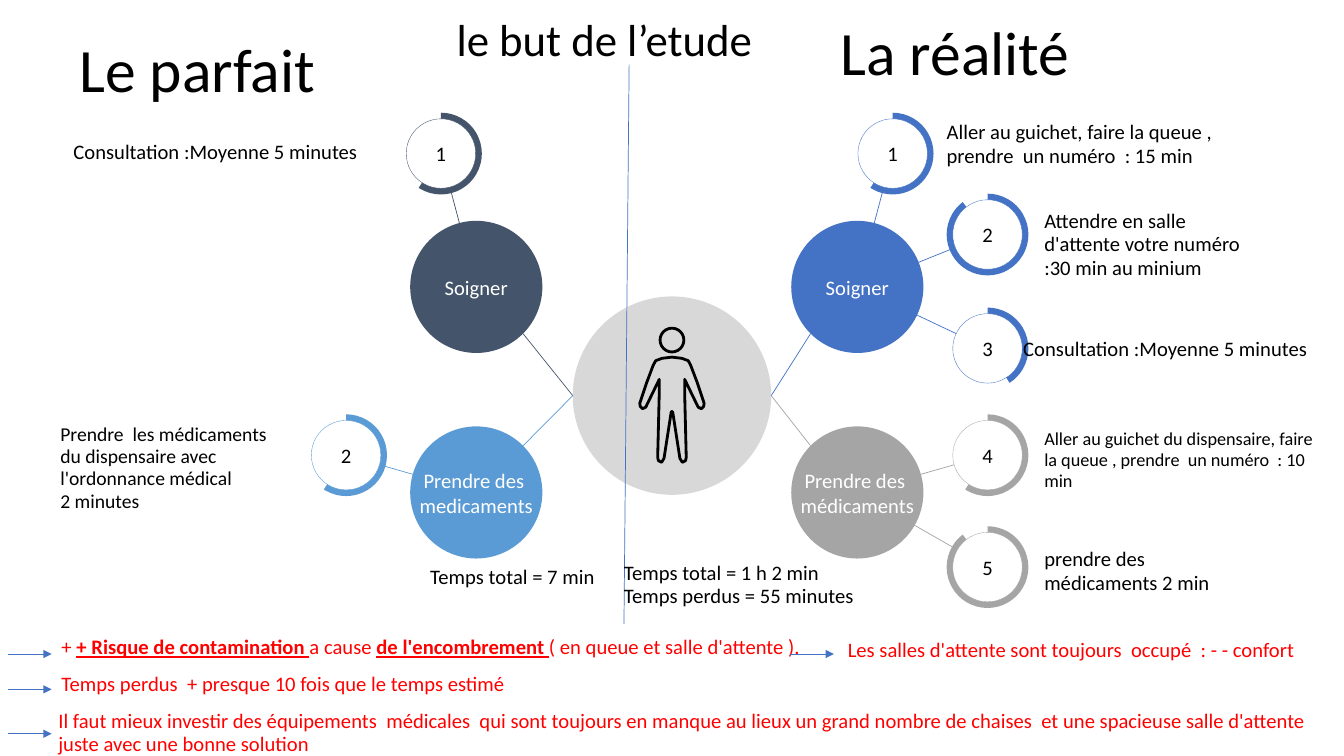
from lxml import etree
from pptx import Presentation
from pptx.dml.color import RGBColor
from pptx.enum import shapes, text
from pptx.oxml import ns
from pptx.util import Cm, Pt

BLACK = RGBColor(0x00, 0x00, 0x00)
WHITE = RGBColor(0xFF, 0xFF, 0xFF)
RED = RGBColor(0xFF, 0x00, 0x00)
BLUE = RGBColor(0x44, 0x72, 0xC4)
SKY = RGBColor(0x5B, 0x9B, 0xD5)
NAVY = RGBColor(0x44, 0x54, 0x6A)
GREY = RGBColor(0xA5, 0xA5, 0xA5)
MID_GREY = RGBColor(0x80, 0x80, 0x80)

FONT = "Calibri"
BODY = 14.7
LEFT, CENTER = text.PP_ALIGN.LEFT, text.PP_ALIGN.CENTER
CX, CY, RADIUS = 16.93, 9.97, 2.5  # central disc
HUB, RING, BADGE = 3.33, 2.06, 1.75  # diameters
TO_HUB = 1.18  # offset of a point on the hub's edge at 45 degrees

# Hubs: side (-1 left, 1 right), centre, label, colour,
# badges as (number, centre x, centre y, end angle of the ring)
HUBS = [
    (1, 21.6, 7.23, "Soigner", BLUE,
     [(1, 22.49, 3.87, 127.785), (2, 24.88, 5.91, 193.549), (3, 24.88, 8.78, 88.397)]),
    (1, 21.6, 12.41, "Prendre des \nmédicaments", GREY,
     [(4, 24.88, 11.47, 127.785), (5, 24.88, 14.29, 193.549)]),
    (-1, 12.0, 7.23, "Soigner", NAVY, [(1, 11.11, 3.87, 127.785)]),
    (-1, 12.0, 12.41, "Prendre des \nmedicaments", SKY, [(2, 8.72, 11.47, 127.785)]),
]

# Captions: left, top, width, height, text, size, colour
CAPTIONS = [
    (23.6, 2.92, 8.74, 1.45,
     "Aller au guichet, faire la queue , prendre  un numéro  : 15 min", BODY, BLACK),
    (26.06, 5.16, 5.56, 2.03,
     "Attendre en salle d'attente votre numéro :30 min au minium", BODY, BLACK),
    (25.53, 8.39, 8.3, 0.86, "Consultation :Moyenne 5 minutes", BODY, BLACK),
    (26.06, 10.69, 7.42, 1.83,
     "Aller au guichet du dispensaire, faire la queue , prendre  un numéro  : 10 min", 13, BLACK),
    (26.06, 13.69, 5.56, 1.45, "prendre des médicaments 2 min", BODY, BLACK),
    (1.6, 3.43, 8.56, 0.86, "Consultation :Moyenne 5 minutes", BODY, BLACK),
    (1.27, 10.54, 6.25, 2.54,
     "Prendre  les médicaments du dispensaire avec l'ordonnance médical\n2 minutes", 14, BLACK),
    (10.59, 14.12, 8.13, 0.86, "Temps total = 7 min", BODY, BLACK),
    (15.47, 14.02, 8.13, 1.45, "Temps total = 1 h 2 min\nTemps perdus = 55 minutes", BODY, BLACK),
    (1.3, 16.84, 13.69, 0.86, "Temps perdus  + presque 10 fois que le temps estimé", BODY, RED),
    (21.11, 15.98, 12.7, 0.86,
     "Les salles d'attente sont toujours  occupé  : - - confort", BODY, RED),
    (1.22, 17.75, 32.21, 1.45,
     "Il faut mieux investir des équipements  médicales  qui sont toujours en manque au lieux "
     "un grand nombre de chaises  et une spacieuse salle d'attente  juste avec une bonne solution",
     BODY, RED),
]
RISK = [("+ ", False), ("+ Risque de contamination ", True), ("a cause ", False),
        ("de l'encombrement ", True), ("( en queue et salle d'attente ).", False)]
ARROWS = [(0.2, 16.48), (0.2, 17.37), (0.2, 18.49), (19.91, 16.48)]

# Right half of the person's body: distance from the axis, y
HALF_BODY = [(0, 9.0), (0.25, 9.03), (0.41, 9.09), (0.47, 9.2), (0.64, 9.65), (0.81, 10.16),
             (0.8, 10.24), (0.74, 10.3), (0.66, 10.26), (0.32, 9.56), (0.32, 9.9),
             (0.36, 11.53), (0.34, 11.61), (0.26, 11.65), (0.2, 11.55), (0.02, 10.39), (0, 10.37)]


def format_text(tf, size, color, align=LEFT, spacing=0.95):
    for p in tf.paragraphs:
        p.alignment = align
        p.line_spacing = spacing
        for r in p.runs:
            r.font.name = FONT
            r.font.size = Pt(size)
            r.font.color.rgb = color


def add_text(s, x, y, w, h, content, size, color, align=LEFT):
    tf = s.shapes.add_textbox(Cm(x), Cm(y), Cm(w), Cm(h)).text_frame
    tf.word_wrap = True
    tf.text = content
    format_text(tf, size, color, align)
    return tf


def add_line(s, x1, y1, x2, y2, color, arrow=False):
    sp = s.shapes.add_connector(shapes.MSO_CONNECTOR.STRAIGHT, Cm(x1), Cm(y1), Cm(x2), Cm(y2))
    sp.line.color.rgb = color
    sp.line.width = Pt(0.5)
    if arrow:
        etree.SubElement(sp.line._get_or_add_ln(), ns.qn("a:tailEnd"), type="triangle")
    etree.SubElement(sp._element.spPr, ns.qn("a:effectLst"))


def add_round(parent, x, y, d, fill=None, line=None, width=0.25, kind=shapes.MSO_SHAPE.OVAL):
    """Round shape of diameter d centred on x, y."""
    sp = parent.shapes.add_shape(kind, Cm(x - d / 2), Cm(y - d / 2), Cm(d), Cm(d))
    paint(sp, fill, line, width)
    return sp


def paint(sp, fill, line, width):
    sp.shadow.inherit = False
    if fill is None:
        sp.fill.background()
    else:
        sp.fill.solid()
        sp.fill.fore_color.rgb = fill
    if line is None:
        sp.line.fill.background()
    else:
        sp.line.color.rgb = line
        sp.line.width = Pt(width)


def add_label(sp, content, color):
    tf = sp.text_frame
    tf.word_wrap = False
    tf.vertical_anchor = text.MSO_ANCHOR.MIDDLE
    tf.margin_left = tf.margin_right = Cm(0.33)
    tf.margin_top = tf.margin_bottom = Cm(0.18)
    tf.text = content
    format_text(tf, BODY, color, CENTER, 1.0)


def add_badge(s, number, x, y, end, color):
    ring = add_round(s, x, y, RING, color, kind=shapes.MSO_SHAPE.PIE)
    ring.adjustments[0] = 0
    ring.adjustments[1] = end
    ring.rotation = 270
    add_label(add_round(s, x, y, BADGE, WHITE, color), str(number), BLACK)


def add_hub(s, side, x, y, label, color, badges):
    edge_y = y + TO_HUB if y < CY else y - TO_HUB
    add_line(s, CX + side * RADIUS, CY, x - side * TO_HUB, edge_y, color)
    for number, bx, by, end in badges:
        add_line(s, x, y, bx, by, color)
        add_badge(s, number, bx, by, end, color)
    add_label(add_round(s, x, y, HUB, color), label, WHITE)


def add_person(s):
    group = s.shapes.add_group_shape()
    add_round(group, CX, 8.57, 0.6, line=BLACK, width=2)
    outline = HALF_BODY + [(-dx, y) for dx, y in HALF_BODY[-2:0:-1]]
    points = [(Cm(CX + dx), Cm(y)) for dx, y in outline]
    builder = group.shapes.build_freeform(*points[0])
    builder.add_line_segments(points[1:], close=True)
    paint(builder.convert_to_shape(), None, BLACK, 2)


def main():
    prs = Presentation()
    prs.slide_width, prs.slide_height = Cm(33.86), Cm(19.05)
    s = prs.slides.add_slide(prs.slide_layouts[5])

    # Headings
    title = s.shapes.title
    title.left, title.top, title.width, title.height = Cm(1.75), Cm(0.66), Cm(6.78), Cm(2.34)
    title.text_frame.text = "Le parfait"
    reality = add_text(s, 20.93, -0.43, 11.76, 3.68, "La réalité", 44, BLACK)
    for tf in (title.text_frame, reality):
        tf.vertical_anchor = text.MSO_ANCHOR.MIDDLE
        format_text(tf, 44, BLACK, spacing=0.9)
    add_text(s, 10.52, 0.28, 9.42, 1.55, "le but de l’etude", 32, BLACK, CENTER)

    # Hubs with their numbered badges
    for hub in HUBS:
        add_hub(s, *hub)

    # Central disc, 30 % opaque, with the person
    disc = add_round(s, CX, CY, 2 * RADIUS, MID_GREY)
    rgb = disc._element.spPr.find(ns.qn("a:solidFill"))[0]
    etree.SubElement(rgb, ns.qn("a:alpha"), val="30000")
    add_person(s)

    # Divider between the two halves
    add_line(s, 15.85, 1.63, 15.72, 15.72, BLUE)

    # Captions and conclusions
    for caption in CAPTIONS:
        add_text(s, *caption)
    tf = add_text(s, 1.3, 15.9, 20.32, 0.86, "", BODY, RED)
    for words, strong in RISK:
        r = tf.paragraphs[0].add_run()
        r.text = words
        r.font.bold = r.font.underline = strong
    format_text(tf, BODY, RED)
    for x, y in ARROWS:
        add_line(s, x, y, x + 1.1, y, BLUE, arrow=True)

    prs.save("out.pptx")


if __name__ == "__main__":
    main()
